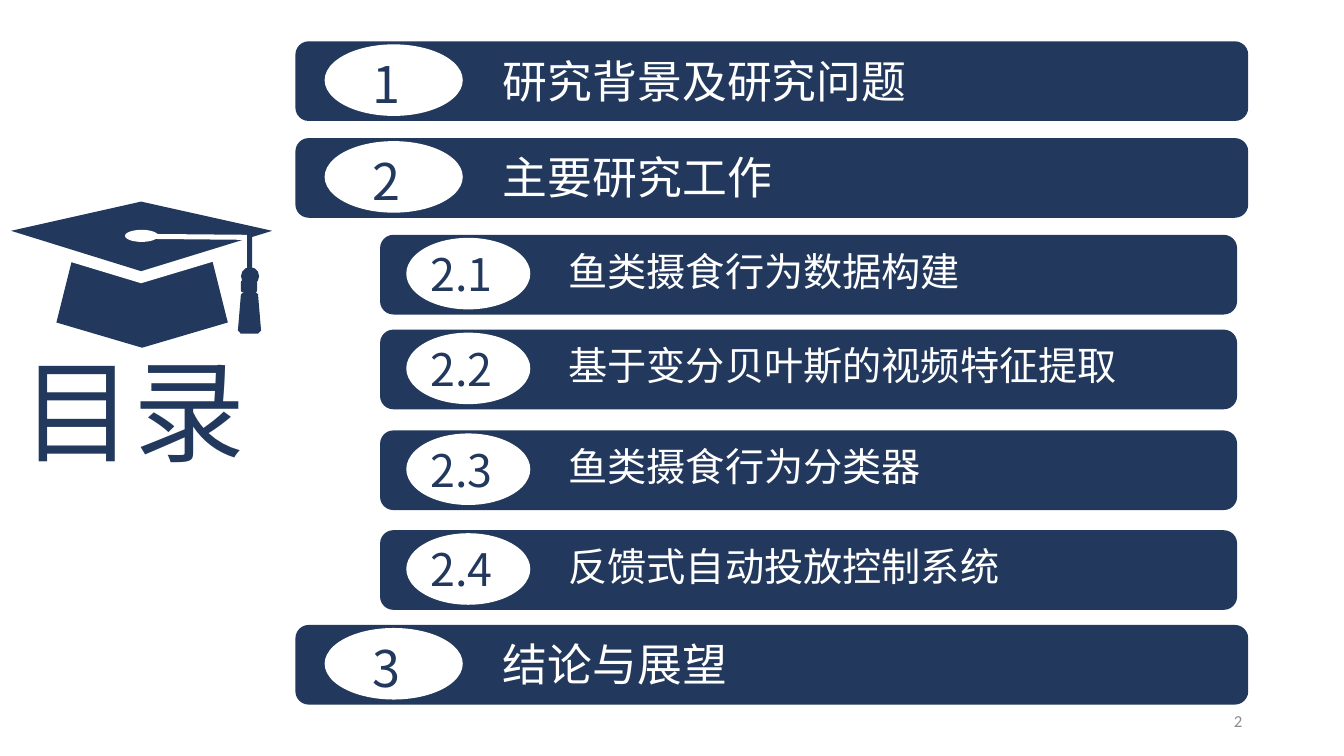
import pptx
import pptx.util
from pptx.dml.color import RGBColor
from pptx.enum.shapes import MSO_SHAPE
from pptx.enum.text import MSO_ANCHOR, MSO_AUTO_SIZE, PP_ALIGN

Inches = pptx.util.Inches
COLORS = {"navy": "22385C", "white": "FFFFFF", "gray": "8C8C8C"}
CJK_FONT = "Noto Sans CJK SC"


def paint(shape, color):
    shape.shadow.inherit = False
    shape.fill.solid()
    shape.fill.fore_color.rgb = RGBColor.from_string(COLORS[color])
    shape.line.fill.background()


def write(shape, text, size, color, font=CJK_FONT, align=PP_ALIGN.LEFT):
    frame = shape.text_frame
    frame.word_wrap = True
    frame.vertical_anchor = MSO_ANCHOR.TOP
    frame.auto_size = MSO_AUTO_SIZE.SHAPE_TO_FIT_TEXT
    paragraph = frame.paragraphs[0]
    paragraph.alignment = align
    run = paragraph.add_run()
    run.text = text
    run.font.size = pptx.util.Pt(size)
    run.font.name = font
    run.font.color.rgb = RGBColor.from_string(COLORS[color])
    properties = run.font._element
    east_asian = properties.makeelement(pptx.oxml.ns.qn("a:ea"), {"typeface": font})
    properties.append(east_asian)


presentation = pptx.Presentation()
presentation.slide_width = Inches(13.33)
presentation.slide_height = Inches(7.5)
slide = presentation.slides.add_slide(presentation.slide_layouts[5])

title = slide.shapes.title
title.left, title.top, title.width, title.height = map(Inches, (0.11, 3.34, 2.59, 1.45))
write(title, "目录", 80, "navy")

cap_outlines = [
    ("navy", [(2.26, 3.2), (1.41, 3.45), (0.56, 3.2), (0.74, 2.48), (2.08, 2.48)]),
    ("white", [(2.7, 2.29), (1.4, 2), (0.11, 2.29), (0.11, 2.42), (1.4, 2.81), (2.7, 2.42)]),
    ("navy", [(1.4, 2.69), (0.11, 2.29), (1.4, 2), (2.7, 2.29)]),
    ("white", [(1.35, 2.34), (1.38, 2.32), (2.47, 2.33), (2.49, 2.36), (2.46, 2.38), (1.38, 2.37)]),
    ("navy", [(2.59, 3.28), (2.56, 3.31), (2.39, 3.31), (2.36, 3.28),
              (2.39, 2.92), (2.43, 2.89), (2.53, 2.89), (2.56, 2.92)]),
]
cap_shapes = [
    (MSO_SHAPE.ROUNDED_RECTANGLE, "navy", (2.45, 2.32, 0.05, 0.38)),
    (MSO_SHAPE.OVAL, "navy", (2.39, 2.65, 0.18, 0.18)),
    (MSO_SHAPE.ROUNDED_RECTANGLE, "navy", (2.39, 2.78, 0.16, 0.12)),
    (MSO_SHAPE.OVAL, "white", (1.24, 2.28, 0.33, 0.12)),
]
cap = slide.shapes.add_group_shape()
for color, points in cap_outlines:
    corners = [(Inches(x), Inches(y)) for x, y in points]
    builder = cap.shapes.build_freeform(*corners[0])
    builder.add_line_segments(corners[1:], close=True)
    paint(builder.convert_to_shape(), color)
for kind, color, box in cap_shapes:
    paint(cap.shapes.add_shape(kind, *map(Inches, box)), color)

chapter = {"bar": (2.93, 9.45), "oval": (3.22, 1.37), "number": (3.37, 1.13, 0.71),
           "label": (4.89, 7.14, 0.64), "sizes": (36, 32), "indent": 0.32}
section = {"bar": (3.77, 8.5), "oval": (4.03, 1.23), "number": (4.17, 1.01, 0.64),
           "label": (5.54, 6.42, 0.57), "sizes": (32, 28), "indent": 0.1}
entries = [
    (0.41, chapter, "1", "研究背景及研究问题"),
    (1.37, chapter, "2", "主要研究工作"),
    (2.33, section, "2.1", "鱼类摄食行为数据构建"),
    (3.27, section, "2.2", "基于变分贝叶斯的视频特征提取"),
    (4.27, section, "2.3", "鱼类摄食行为分类器"),
    (5.26, section, "2.4", "反馈式自动投放控制系统"),
    (6.2, chapter, "3", "结论与展望"),
]
for top, level, number, label in entries:
    entry = slide.shapes.add_group_shape()
    for kind, part, offset, height, color in (
        (MSO_SHAPE.ROUNDED_RECTANGLE, "bar", 0, 0.79, "navy"),
        (MSO_SHAPE.OVAL, "oval", 0.03, 0.71, "white"),
    ):
        left, width = level[part]
        paint(entry.shapes.add_shape(kind, *map(Inches, (left, top + offset, width, height))), color)
    for part, text, size, color, indent in (
        ("number", number, level["sizes"][0], "navy", level["indent"]),
        ("label", label, level["sizes"][1], "white", 0.1),
    ):
        left, width, height = level[part]
        box = entry.shapes.add_textbox(*map(Inches, (left, top + 0.07, width, height)))
        box.text_frame.margin_left = Inches(indent)
        write(box, text, size, color)

page_number = slide.shapes.add_textbox(*map(Inches, (9.42, 6.95, 3, 0.4)))
write(page_number, "2", 12, "gray", "Calibri", PP_ALIGN.RIGHT)
page_number.text_frame.auto_size = MSO_AUTO_SIZE.NONE
page_number.text_frame.vertical_anchor = MSO_ANCHOR.MIDDLE

presentation.save("out.pptx")
